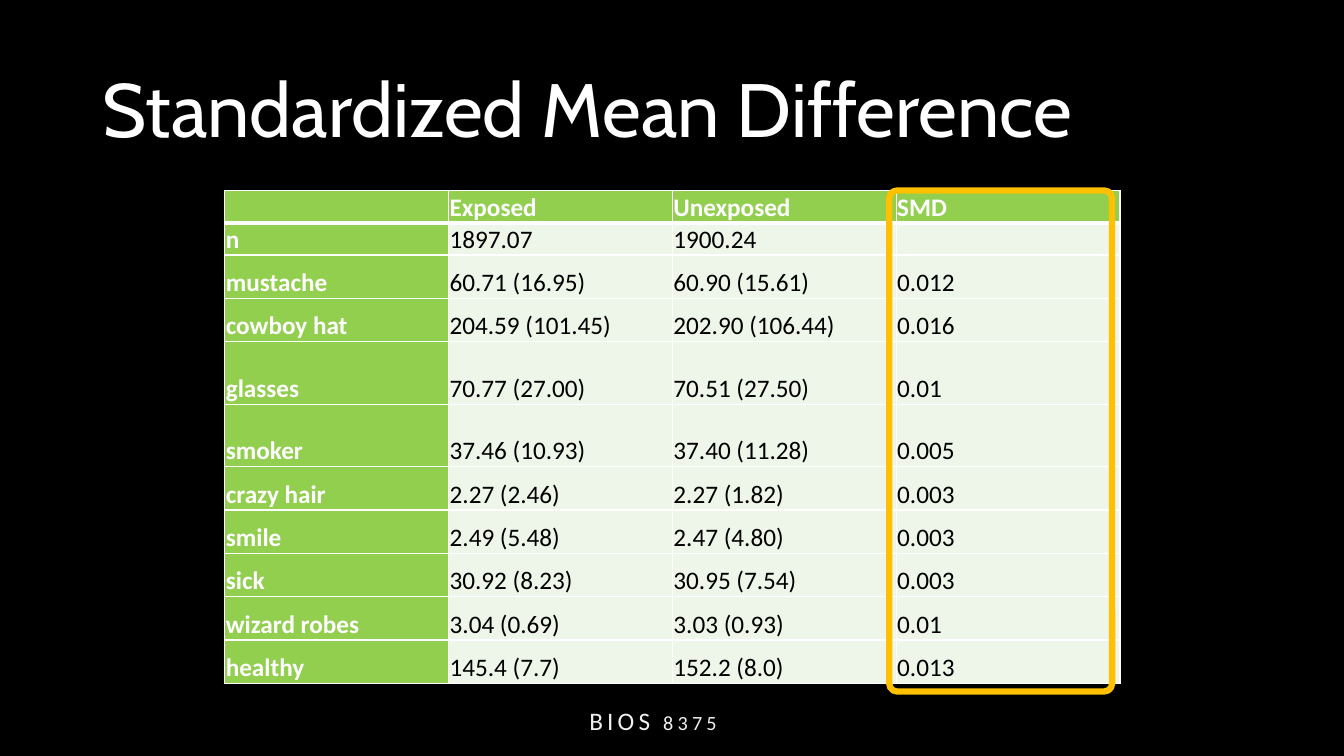
"""Build the standardized mean difference slide."""
import pptx
import pptx.dml.color
import pptx.enum.shapes
import pptx.enum.text
import pptx.oxml
import pptx.oxml.ns
import pptx.util

WIDTH, HEIGHT = 13.33, 7.5
TABLE_LEFT, TABLE_TOP, COLUMN = 2.23, 1.89, 2.22
SHORT, MEDIUM, TALL = 0.32, 0.43, 0.62
GREEN, PALE, WHITE, BLACK = "92CF4F", "EEF6E9", "FFFFFF", "000000"

BALANCE = [
    (SHORT, "", "Exposed", "Unexposed", "SMD"),
    (SHORT, "n", "1897.07", "1900.24", ""),
    (MEDIUM, "mustache", "60.71 (16.95)", "60.90 (15.61)", "0.012"),
    (MEDIUM, "cowboy hat", "204.59 (101.45)", "202.90 (106.44)", "0.016"),
    (TALL, "glasses", "70.77 (27.00)", "70.51 (27.50)", "0.01"),
    (TALL, "smoker", "37.46 (10.93)", "37.40 (11.28)", "0.005"),
    (MEDIUM, "crazy hair", "2.27 (2.46)", "2.27 (1.82)", "0.003"),
    (MEDIUM, "smile", "2.49 (5.48)", "2.47 (4.80)", "0.003"),
    (MEDIUM, "sick", "30.92 (8.23)", "30.95 (7.54)", "0.003"),
    (MEDIUM, "wizard robes", "3.04 (0.69)", "3.03 (0.93)", "0.01"),
    (MEDIUM, "healthy", "145.4 (7.7)", "152.2 (8.0)", "0.013"),
]


def inches(*lengths):
    return [pptx.util.Inches(length) for length in lengths]


def paint(color_format, color):
    color_format.rgb = pptx.dml.color.RGBColor.from_string(color)


def write(frame, text, size=18, font="Calibri", color=WHITE, bold=False,
          align=pptx.enum.text.PP_ALIGN.LEFT, line_spacing=None):
    paragraph = frame.paragraphs[0]
    paragraph.alignment = align
    paragraph.line_spacing = line_spacing
    if not text:
        return None
    run = paragraph.add_run()
    run.text = text
    run.font.size = pptx.util.Pt(size)
    run.font.name = font
    run.font.bold = bold
    paint(run.font.color, color)
    return run


def add_border(cell, side, points):
    cell._tc.get_or_add_tcPr().append(pptx.oxml.parse_xml(
        f'<a:ln{side} {pptx.oxml.ns.nsdecls("a")} w="{pptx.util.Pt(points)}">'
        f'<a:solidFill><a:srgbClr val="{WHITE}"/></a:solidFill></a:ln{side}>'))


def fill_cell(cell, text, row, column):
    heading = row == 0 or column == 0
    cell.margin_left, cell.margin_right, cell.margin_top, cell.margin_bottom = inches(
        0.01, 0.01, 0.01, 0)
    cell.vertical_anchor = pptx.enum.text.MSO_ANCHOR.BOTTOM
    write(cell.text_frame, text, color=WHITE if heading else BLACK, bold=heading)
    borders = {"L": 1, "R": 1, "T": 3 if row == 1 else 1, "B": 3 if row == 0 else 1}
    for side, points in borders.items():
        add_border(cell, side, points)
    cell.fill.solid()
    paint(cell.fill.fore_color, GREEN if heading else PALE)


def add_balance_table(slide):
    heights = [height for height, *_ in BALANCE]
    columns = len(BALANCE[0]) - 1
    table = slide.shapes.add_table(len(BALANCE), columns, *inches(
        TABLE_LEFT, TABLE_TOP, columns * COLUMN, sum(heights))).table
    for column in table.columns:
        column.width = pptx.util.Inches(COLUMN)
    for row, (height, *texts) in enumerate(BALANCE):
        table.rows[row].height = pptx.util.Inches(height)
        for column, text in enumerate(texts):
            fill_cell(table.cell(row, column), text, row, column)


def add_title(slide, text):
    title = slide.shapes.title
    title.left, title.top, title.width, title.height = inches(0.92, 0.4, 11.5, 1.45)
    title.text_frame.vertical_anchor = pptx.enum.text.MSO_ANCHOR.MIDDLE
    title.text_frame.word_wrap = True
    write(title.text_frame, text, size=54, font="Cabin", line_spacing=0.9)


def add_course(slide, text):
    course = slide.shapes.add_textbox(*inches(4.96, 6.95, 3.41, 0.4))
    course.text_frame.word_wrap = True
    run = write(course.text_frame, text, color="F1F0F0",
                align=pptx.enum.text.PP_ALIGN.CENTER)
    properties = run._r.get_or_add_rPr()
    properties.set("cap", "small")
    properties.set("spc", "300")


def add_highlight(slide):
    highlight = slide.shapes.add_shape(
        pptx.enum.shapes.MSO_SHAPE.ROUNDED_RECTANGLE,
        *inches(8.82, TABLE_TOP, 2.21, 4.97))
    highlight.adjustments[0] = 0.035
    highlight.shadow.inherit = False
    highlight.fill.background()
    paint(highlight.line.color, "FEC001")
    highlight.line.width = pptx.util.Pt(4.5)


def main():
    deck = pptx.Presentation()
    deck.slide_width, deck.slide_height = inches(WIDTH, HEIGHT)
    slide = deck.slides.add_slide(deck.slide_layouts.get_by_name("Title Only"))
    slide.background.fill.solid()
    paint(slide.background.fill.fore_color, BLACK)
    add_course(slide, "BIOS 8375")
    add_balance_table(slide)
    add_title(slide, "Standardized Mean Difference")
    add_highlight(slide)
    deck.save("out.pptx")


if __name__ == "__main__":
    main()
